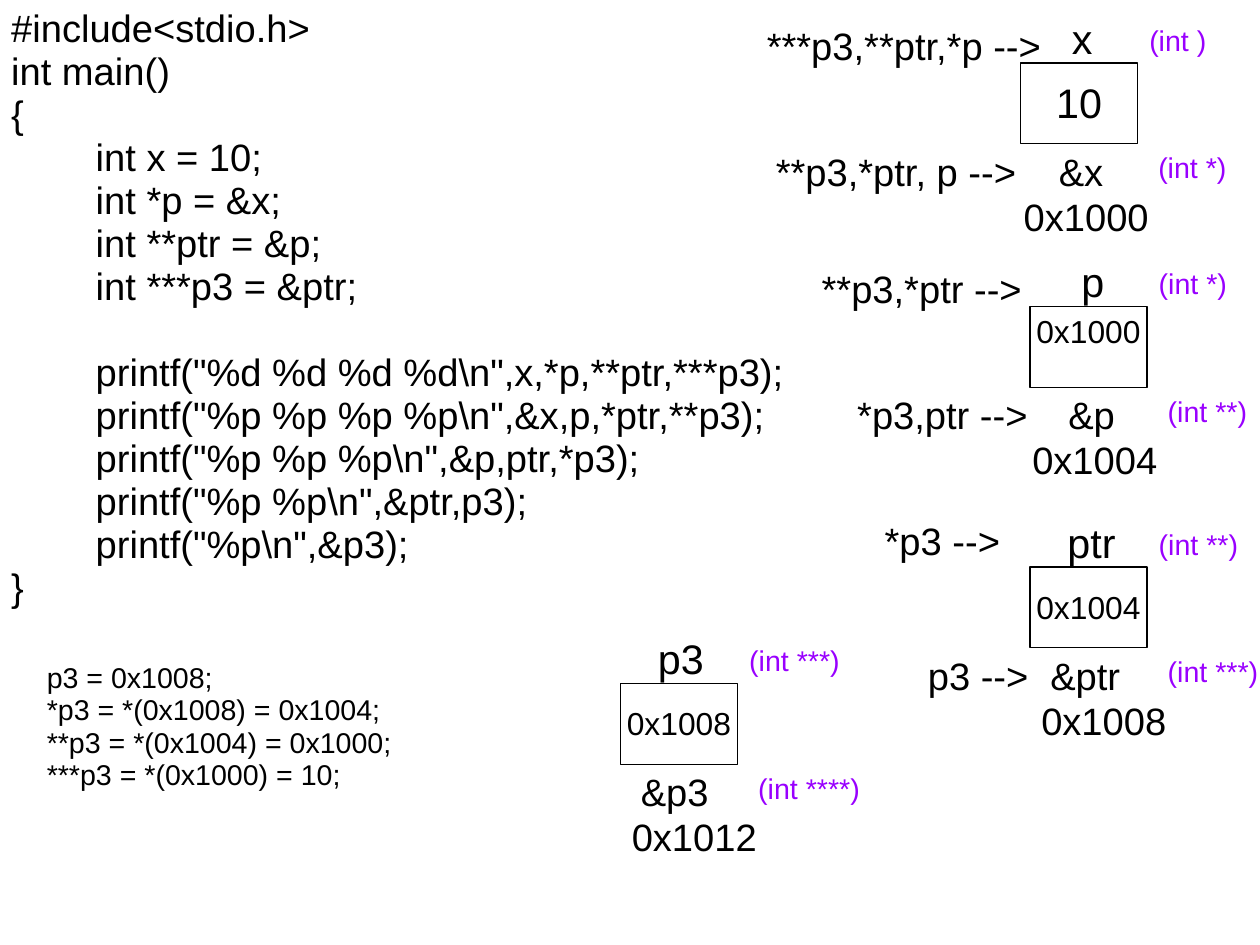
from pptx import Presentation
from pptx.dml.color import RGBColor
from pptx.enum.shapes import MSO_SHAPE as Shape
from pptx.enum.text import MSO_ANCHOR as Anchor, PP_ALIGN as Align
from pptx.util import Cm, Pt

COLORS = {"ink": "000000", "paper": "FFFFFF", "type": "9900FF"}


def write(shape, lines, size, color="ink", wrap=True, inset=0.18, align=Align.LEFT):
    frame = shape.text_frame
    frame.word_wrap = wrap
    frame.margin_left = Cm(0.25)
    frame.margin_right = Cm(0.25 if align == Align.CENTER else 0)
    frame.margin_top, frame.margin_bottom = Cm(inset), Cm(0.13)
    for index, line in enumerate(lines):
        paragraph = frame.paragraphs[0] if index == 0 else frame.add_paragraph()
        paragraph.text = line
        paragraph.alignment = align
        paragraph.line_spacing = 0.94
        paragraph.font.size = Pt(size)
        paragraph.font.name = "Arial"
        paragraph.font.color.rgb = RGBColor.from_string(COLORS[color])
    return frame


def add_text(left, top, width, height, lines, size, **style):
    shape = slide.shapes.add_textbox(Cm(left), Cm(top), Cm(width), Cm(height))
    return write(shape, lines, size, **style)


presentation = Presentation()
presentation.slide_width, presentation.slide_height = Cm(28), Cm(21)
slide = presentation.slides.add_slide(presentation.slide_layouts[6])

# Program listing, with a one-line gap before the first printf
code = [
    "#include<stdio.h>",
    "int main()",
    "{",
    "        int x = 10;",
    "        int *p = &x;",
    "        int **ptr = &p;",
    "        int ***p3 = &ptr;",
    r'        printf("%d %d %d %d\n",x,*p,**ptr,***p3);',
    r'        printf("%p %p %p %p\n",&x,p,*ptr,**p3);',
    r'        printf("%p %p %p\n",&p,ptr,*p3);',
    r'        printf("%p %p\n",&ptr,p3);',
    r'        printf("%p\n",&p3);',
    "}",
]
listing = add_text(0, 0.05, 18.4, 13.7, code, 24, inset=0.13)
listing.paragraphs[7].space_before = Pt(27)

# Memory cells: left, top, value, value size, anchor,
# name (text, offset, width), address name (text, offset, width),
# address (text, offset), type, address type
cells = [
    (22.68, 1.4, "10", 26, Anchor.MIDDLE, ("x", 0.89, 1.22), ("&x", 0.6, 1.8),
     ("0x1000", -0.18), "(int )", "(int *)"),
    (22.89, 6.81, "0x1000", 20, Anchor.TOP, ("p", 0.89, 1.27), ("&p", 0.6, 1.8),
     ("0x1004", -0.2), "(int *)", "(int **)"),
    (22.89, 12.6, "0x1004", 20, Anchor.MIDDLE, ("ptr", 0.58, 1.83), ("&ptr", 0.2, 2.2),
     ("0x1008", 0), "(int **)", "(int ***)"),
    (13.79, 15.19, "0x1008", 20, Anchor.MIDDLE, ("p3", 0.58, 1.83), ("&p3", 0.2, 2.2),
     ("0x1012", 0), "(int ***)", "(int ****)"),
]
for left, top, value, size, anchor, name, address_name, address, kind, address_kind in cells:
    box = slide.shapes.add_shape(Shape.RECTANGLE, Cm(left), Cm(top), Cm(2.6), Cm(1.8))
    box.shadow.inherit = False
    box.fill.solid()
    box.fill.fore_color.rgb = RGBColor.from_string(COLORS["paper"])
    box.line.color.rgb = RGBColor.from_string(COLORS["ink"])
    box.line.width = Pt(0.75)
    write(box, [value], size, wrap=False, align=Align.CENTER).vertical_anchor = anchor

    text, offset, width = name
    add_text(left + offset, top - 1.2, width, 1.27, [text], 26)
    text, offset, width = address_name
    add_text(left + offset, top + 1.8, width, 1.19, [text], 24)
    text, offset = address
    add_text(left + offset, top + 2.8, 3.6, 1.19, [text], 24)
    for text, across, down in ((kind, 2.61, -0.98), (address_kind, 2.81, 1.85)):
        add_text(left + across, top + down, 2.6, 0.97, [text], 18, color="type", inset=0.15)

# Expressions that reach each value or address
expressions = [
    (16.79, 0.41, 6.76, "***p3,**ptr,*p -->"),
    (16.99, 3.2, 6.15, "**p3,*ptr, p -->"),
    (18.01, 5.8, 4.9, "**p3,*ptr -->"),
    (18.8, 8.61, 4.3, "*p3,ptr -->"),
    (19.41, 11.4, 3.2, "*p3 -->"),
    (20.37, 14.4, 3.02, "p3 -->"),
]
for left, top, width, text in expressions:
    add_text(left, top, width, 1.19, [text], 24)

# Step-by-step dereferencing of p3
steps = [
    "p3 = 0x1008;",
    "*p3 = *(0x1008) = 0x1004;",
    "**p3 = *(0x1004) = 0x1000;",
    "***p3 = *(0x1000) = 10;",
]
add_text(0.79, 14.6, 12.2, 3.15, steps, 18, inset=0.13)

presentation.save("out.pptx")
